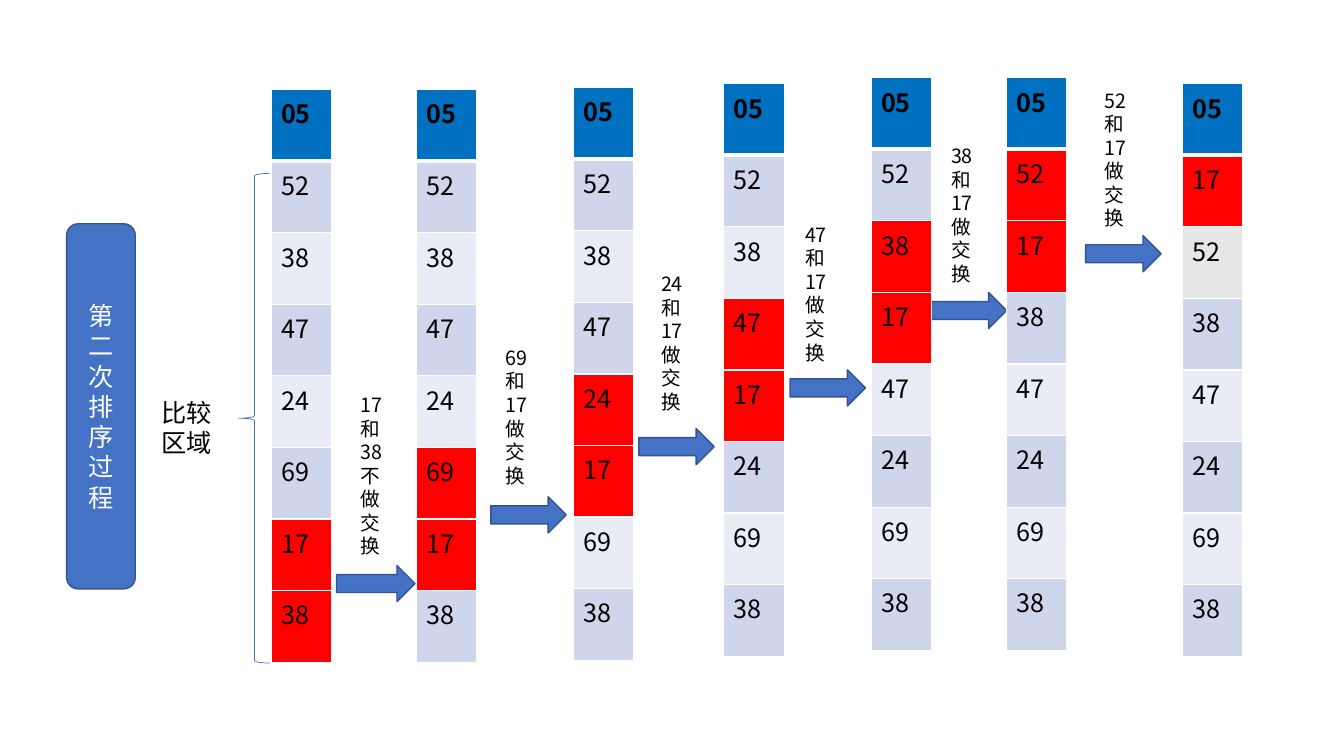
from dataclasses import dataclass

from lxml.etree import SubElement
from pptx import Presentation
from pptx.dml.color import RGBColor
from pptx.enum.shapes import MSO_SHAPE
from pptx.enum.text import MSO_ANCHOR, MSO_AUTO_SIZE, PP_ALIGN
from pptx.oxml.ns import qn
from pptx.util import Cm, Pt

FONT = "Noto Sans CJK SC"
BLACK, WHITE, RED = "000000", "FFFFFF", "FF0000"
BLUE, DARK_BLUE, SORTED_BLUE = "4472C4", "325491", "0070C0"
BANDS = ("E9EBF5", "CFD5EA")
LAST_SWAPPED = "E7E6E6"
COLUMN_WIDTH, COLUMN_HEIGHT = 1.52, 14.43


@dataclass
class Step:
    """Places, in cm, of one column and of the arrow and label after it."""
    column: tuple[float, float]
    arrow: tuple[float, float, float]
    label: tuple[float, float, float]


START = ["05", "52", "38", "47", "24", "69", "17", "38"]
STEPS = [
    Step((6.83, 2.26), (8.48, 14.25, 1.98), (8.84, 9.78, 5.64)),
    Step((10.49, 2.26), (12.37, 12.52, 1.9), (12.5, 8.59, 3.84)),
    Step((14.45, 2.21), (16.1, 10.8, 1.9), (16.41, 6.73, 3.84)),
    Step((18.24, 2.11), (19.91, 9.32, 1.9), (20.04, 5.49, 3.84)),
    Step((21.95, 1.96), (23.47, 7.37, 1.9), (23.72, 3.51, 3.84)),
    Step((25.37, 1.96), (27.36, 5.94, 1.9), (27.58, 2.11, 3.84)),
]
FINAL_COLUMN = (29.79, 2.11)


def color(value: str) -> RGBColor:
    return RGBColor.from_string(value)


def write(text_frame, text: str, *, size=18, font_color=BLACK, bold=False,
          align=PP_ALIGN.LEFT) -> None:
    paragraph = text_frame.paragraphs[0]
    paragraph.alignment = align
    run = paragraph.add_run()
    run.text = text
    run.font.size = Pt(size)
    run.font.bold = bold
    run.font.name = FONT
    run.font.color.rgb = color(font_color)
    SubElement(run.font._element, qn("a:ea"), typeface=FONT)


def add_label(slide, text: str, left, top, width, height, size) -> None:
    text_box = slide.shapes.add_textbox(Cm(left), Cm(top), Cm(width), Cm(height))
    text_box.text_frame.word_wrap = True
    text_box.text_frame.auto_size = MSO_AUTO_SIZE.SHAPE_TO_FIT_TEXT
    write(text_box.text_frame, text, size=size)


def add_outline(slide, kind, left, top, width, height, *, fill=BLUE,
                line=DARK_BLUE, line_width=1.0):
    shape = slide.shapes.add_shape(kind, Cm(left), Cm(top), Cm(width), Cm(height))
    shape.shadow.inherit = False
    if fill:
        shape.fill.solid()
        shape.fill.fore_color.rgb = color(fill)
    else:
        shape.fill.background()
    shape.line.color.rgb = color(line)
    shape.line.width = Pt(line_width)
    return shape


def set_borders(cell, **widths: float) -> None:
    properties = cell._tc.get_or_add_tcPr()
    for side, width in widths.items():
        border = SubElement(properties, qn(f"a:ln{side}"), w=str(Pt(width)))
        fill = SubElement(border, qn("a:solidFill"))
        SubElement(fill, qn("a:srgbClr"), val=WHITE)


def add_column(slide, place: tuple[float, float], values: list[str],
               highlights: dict[int, str]) -> None:
    left, top = place
    table = slide.shapes.add_table(len(values), 1, Cm(left), Cm(top),
                                   Cm(COLUMN_WIDTH), Cm(COLUMN_HEIGHT)).table
    for row, value in enumerate(values):
        cell = table.cell(row, 0)
        is_sorted = row == 0
        set_borders(cell, L=1, R=1, T=3 if row == 1 else 1, B=3 if is_sorted else 1)
        cell.fill.solid()
        band = SORTED_BLUE if is_sorted else BANDS[row % 2]
        cell.fill.fore_color.rgb = color(highlights.get(row, band))
        write(cell.text_frame, value, bold=is_sorted)


presentation = Presentation()
presentation.slide_width, presentation.slide_height = Cm(33.87), Cm(19.05)
slide = presentation.slides.add_slide(presentation.slide_layouts[6])

# Name of the pass and the compared region
pass_name = add_outline(slide, MSO_SHAPE.ROUNDED_RECTANGLE, 1.68, 5.64, 1.73, 9.2)
pass_name.text_frame.word_wrap = True
pass_name.text_frame.vertical_anchor = MSO_ANCHOR.MIDDLE
write(pass_name.text_frame, "第二次排序过程", font_color=WHITE, align=PP_ALIGN.CENTER)
add_label(slide, "比较区域", 3.81, 9.88, 2.13, 1.8, 18)

# One comparison per step, from the bottom pair upwards
values = list(START)
for index, step in enumerate(STEPS):
    lower = len(values) - 1 - index
    upper = lower - 1
    swaps = values[upper] > values[lower]
    action = "做交换" if swaps else "不做交换"
    left, top, height = step.label
    add_label(slide, f"{values[upper]}和{values[lower]}{action}",
              left, top, 1.07, height, 14)
    add_outline(slide, MSO_SHAPE.RIGHT_ARROW, *step.arrow, 0.91)
    add_column(slide, step.column, values, {upper: RED, lower: RED})
    if swaps:
        values[upper], values[lower] = values[lower], values[upper]

# Result of the pass
add_column(slide, FINAL_COLUMN, values, {1: RED, 2: LAST_SWAPPED})
add_outline(slide, MSO_SHAPE.LEFT_BRACE, 6.02, 4.37, 0.79, 12.34,
            fill=None, line=BLUE, line_width=0.5)

presentation.save("out.pptx")
